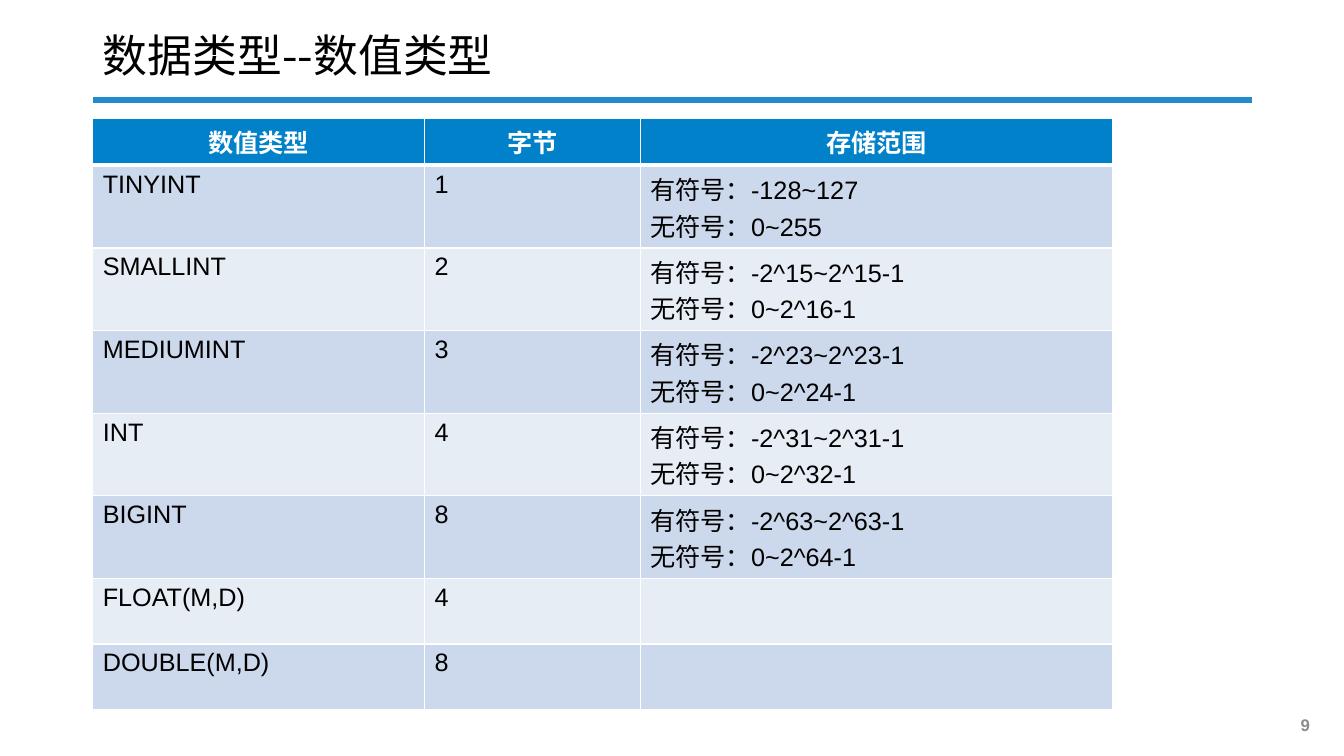
from lxml import etree
from pptx import Presentation
from pptx.dml.color import RGBColor
from pptx.enum.shapes import MSO_CONNECTOR
from pptx.enum.text import MSO_ANCHOR, PP_ALIGN
from pptx.oxml.ns import qn
from pptx.util import Inches, Pt

STRAIGHT = MSO_CONNECTOR.STRAIGHT
TOP, MIDDLE = MSO_ANCHOR.TOP, MSO_ANCHOR.MIDDLE
LEFT, CENTER = PP_ALIGN.LEFT, PP_ALIGN.CENTER

LATIN_FONT, CHINESE_FONT = "Arial", "Noto Sans CJK SC"
BLACK, WHITE, GREY = "000000", "FFFFFF", "8C8C8C"
RULE_BLUE, HEADER_BLUE = "238ACB", "0081C9"
BAND_FILLS = ["CCD8EB", "E7EDF5"]

COLUMN_WIDTHS = [3.29, 2.14, 4.69]
HEADER_HEIGHT, RANGE_HEIGHT, PLAIN_HEIGHT = 0.47, 0.82, 0.65
HEADINGS = ["数值类型", "字节", "存储范围"]
NUMERIC_TYPES = [
    ("TINYINT", "1", ["-128~127", "0~255"]),
    ("SMALLINT", "2", ["-2^15~2^15-1", "0~2^16-1"]),
    ("MEDIUMINT", "3", ["-2^23~2^23-1", "0~2^24-1"]),
    ("INT", "4", ["-2^31~2^31-1", "0~2^32-1"]),
    ("BIGINT", "8", ["-2^63~2^63-1", "0~2^64-1"]),
    ("FLOAT(M,D)", "4", []),
    ("DOUBLE(M,D)", "8", []),
]
RANGE_LABELS = ["有符号：", "无符号："]


def color(value):
    """Turn a hex string into a colour."""
    return RGBColor.from_string(value)


def write_lines(frame, lines, size, hue, bold=False, align=LEFT, latin=LATIN_FONT):
    """Write each line as a paragraph of one formatted run."""
    for index, line in enumerate(lines):
        para = frame.paragraphs[0] if index == 0 else frame.add_paragraph()
        para.alignment = align
        span = para.add_run()
        span.text = line
        span.font.name = latin
        span.font.size = Pt(size)
        span.font.bold = bold
        span.font.color.rgb = color(hue)
        east_asian = etree.SubElement(span.font._element, qn("a:ea"))
        east_asian.set("typeface", CHINESE_FONT)


def add_title(page, text):
    """Place and fill the title placeholder."""
    title = page.shapes.title
    title.left, title.top = Inches(0.92), Inches(0.2)
    title.width, title.height = Inches(11.5), Inches(0.76)
    title.text_frame.vertical_anchor = MIDDLE
    write_lines(title.text_frame, [text], 32, BLACK, latin=CHINESE_FONT)
    title.text_frame.paragraphs[0].line_spacing = 0.9


def add_rule(page):
    """Draw the blue line below the title."""
    rule = page.shapes.add_connector(
        STRAIGHT, Inches(0.92), Inches(0.99), Inches(12.42), Inches(0.99))
    rule.line.color.rgb = color(RULE_BLUE)
    rule.line.width = Pt(4.5)
    etree.SubElement(rule._element.spPr, qn("a:effectLst"))


def add_page_number(page, number):
    """Add the page number in the lower right corner."""
    box = page.shapes.add_textbox(
        Inches(12.65), Inches(6.99), Inches(0.59), Inches(0.4))
    box.text_frame.word_wrap = True
    box.text_frame.vertical_anchor = MIDDLE
    write_lines(box.text_frame, [number], 12, GREY, bold=True, align=CENTER)


def set_borders(cell, top=1, bottom=1):
    """Give a cell white borders with the given widths in points."""
    properties = cell._tc.get_or_add_tcPr()
    widths = {"lnL": 1, "lnR": 1, "lnT": top, "lnB": bottom}
    for position, (side, width) in enumerate(widths.items()):
        border = etree.Element(qn(f"a:{side}"), w=str(Pt(width)))
        fill = etree.SubElement(border, qn("a:solidFill"))
        etree.SubElement(fill, qn("a:srgbClr"), val=WHITE)
        properties.insert(position, border)


def fill_cell(cell, lines, row_index):
    """Format a cell by its row and write its lines."""
    header = row_index == 0
    cell.fill.solid()
    cell.fill.fore_color.rgb = color(
        HEADER_BLUE if header else BAND_FILLS[(row_index - 1) % 2])
    cell.vertical_anchor = MIDDLE if header else TOP
    write_lines(cell.text_frame, lines, 18, WHITE if header else BLACK,
                bold=header, align=CENTER if header else LEFT)
    set_borders(cell, top=3 if row_index == 1 else 1, bottom=3 if header else 1)


def add_type_table(page):
    """Add the table of numeric types, sizes and ranges."""
    rows = [[[heading] for heading in HEADINGS]]
    heights = [HEADER_HEIGHT]
    for name, size, ranges in NUMERIC_TYPES:
        limits = [label + limit for label, limit in zip(RANGE_LABELS, ranges)]
        rows.append([[name], [size], limits])
        heights.append(RANGE_HEIGHT if ranges else PLAIN_HEIGHT)
    table = page.shapes.add_table(
        len(rows), len(HEADINGS), Inches(0.92), Inches(1.17),
        Inches(sum(COLUMN_WIDTHS)), Inches(sum(heights))).table
    for column, width in zip(table.columns, COLUMN_WIDTHS):
        column.width = Inches(width)
    for row_index, (row, height) in enumerate(zip(rows, heights)):
        table.rows[row_index].height = Inches(height)
        for column_index, lines in enumerate(row):
            fill_cell(table.cell(row_index, column_index), lines, row_index)


def main():
    """Build the slide and save the deck."""
    deck = Presentation()
    deck.slide_width, deck.slide_height = Inches(13.33), Inches(7.5)
    page = deck.slides.add_slide(deck.slide_layouts.get_by_name("Title Only"))
    add_rule(page)
    add_title(page, "数据类型--数值类型")
    add_page_number(page, "9")
    add_type_table(page)
    deck.save("out.pptx")


if __name__ == "__main__":
    main()
